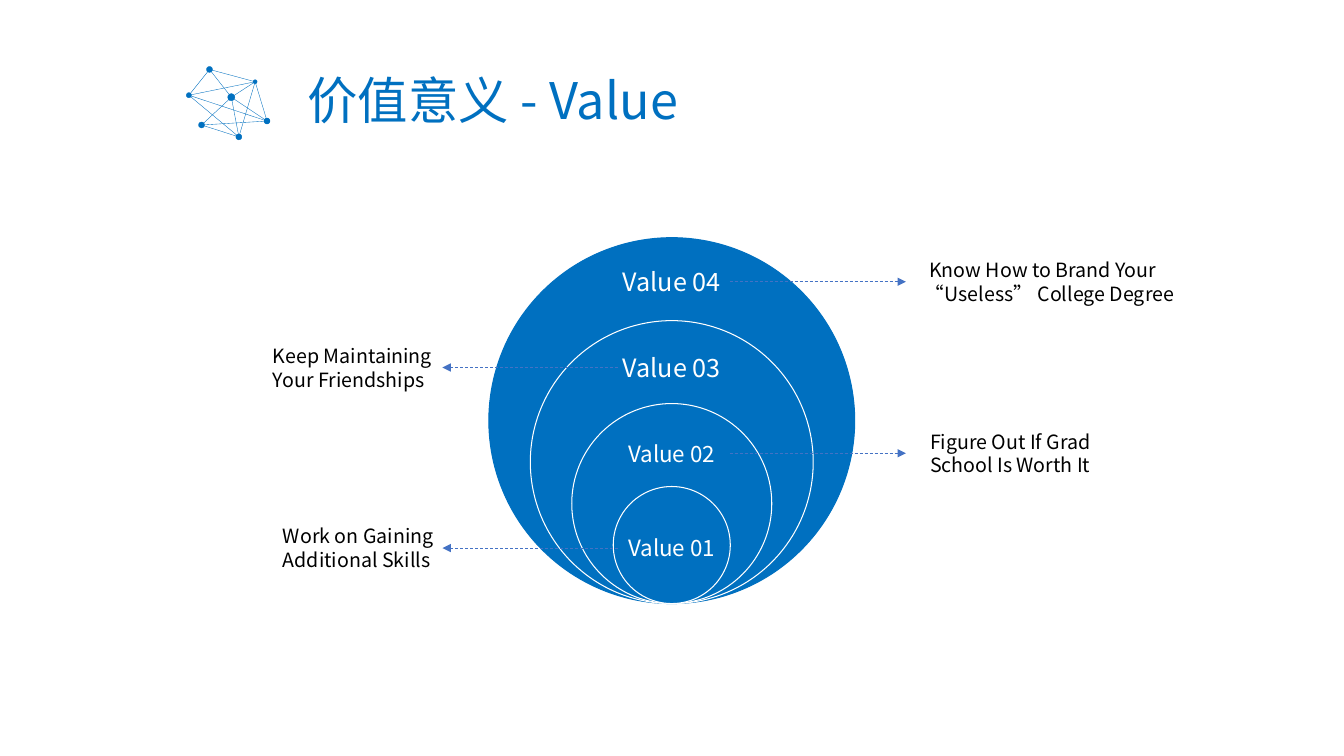
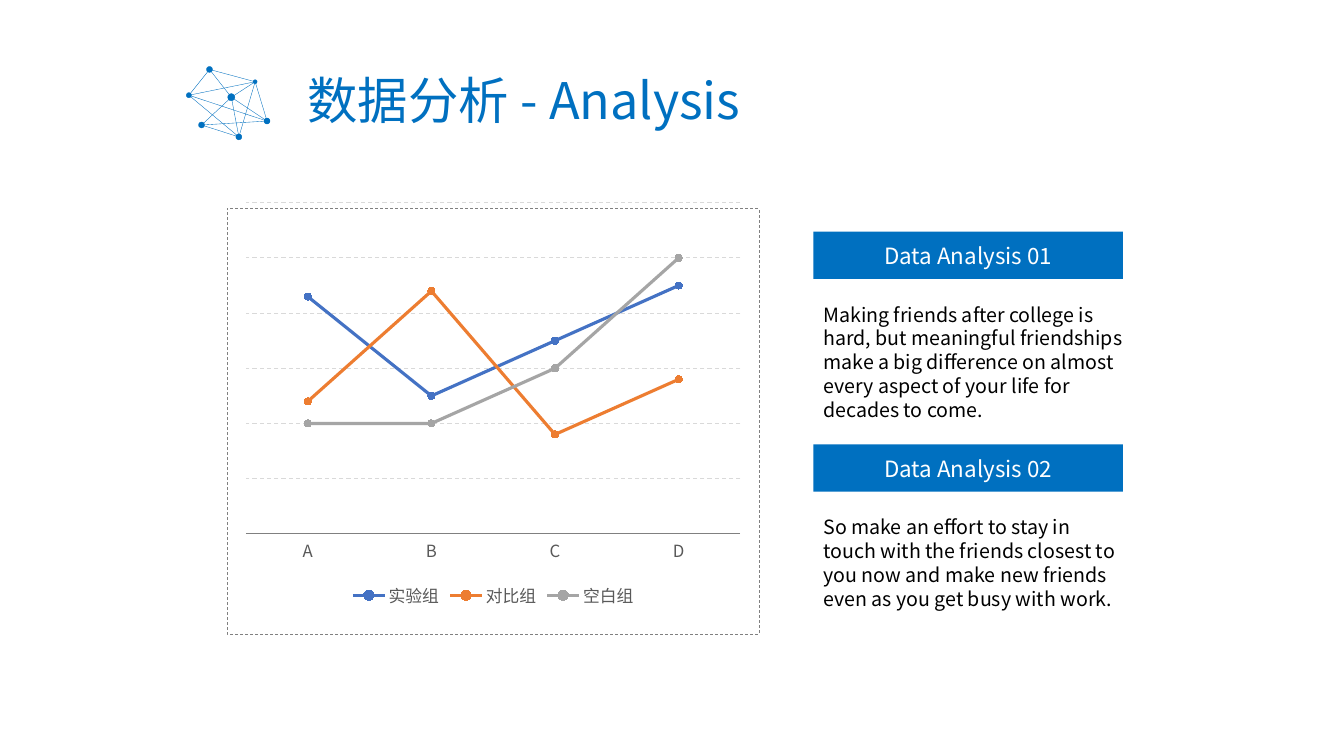
"""Build a value slide and an analysis slide that share one style."""
import pptx
import pptx.chart.data
import pptx.dml.color
import pptx.enum.chart
import pptx.enum.dml
import pptx.enum.shapes
import pptx.enum.text
import pptx.oxml
import pptx.oxml.ns
import pptx.util

Cm = pptx.util.Cm
Pt = pptx.util.Pt
SHAPE = pptx.enum.shapes.MSO_SHAPE
DASH = pptx.enum.dml.MSO_LINE.DASH
ALIGN = pptx.enum.text.PP_ALIGN
ANCHOR = pptx.enum.text.MSO_ANCHOR

FONT = "Noto Sans CJK SC"
COLORS = {
    "main": "0070C0",
    "white": "FFFFFF",
    "black": "000000",
    "arrow": "4472C4",
    "frame": "808080",
    "grid": "D9D9D9",
    "label": "595959",
}
SERIES_COLORS = ["4472C4", "ED7D31", "A5A5A5"]

NODES = {
    "top": (5.28, 1.75, 0.15),
    "hub": (5.83, 2.45, 0.18),
    "upper": (6.43, 2.06, 0.1),
    "low": (5.08, 3.15, 0.15),
    "left": (4.76, 2.4, 0.13),
    "bottom": (6.02, 3.45, 0.15),
    "right": (6.73, 3.05, 0.15),
}
LINKS = [
    ("top", "left"), ("top", "upper"), ("top", "hub"), ("left", "bottom"),
    ("right", "left"), ("upper", "left"), ("bottom", "upper"),
    ("hub", "bottom"), ("hub", "right"), ("upper", "hub"),
    ("upper", "right"), ("hub", "low"), ("low", "bottom"), ("right", "low"),
]


def rgb(name):
    return pptx.dml.color.RGBColor.from_string(COLORS.get(name, name))


def set_font(font, size, color):
    font.name = FONT
    font.size = Pt(size)
    font.color.rgb = rgb(color)


def set_line(line, color, width, dash=None):
    line.color.rgb = rgb(color)
    line.width = Pt(width)
    if dash:
        line.dash_style = dash


def write(box, text, size=14, color="black", align=ALIGN.LEFT,
          anchor=ANCHOR.TOP, spacing=None):
    frame = box.text_frame
    frame.word_wrap = True
    frame.vertical_anchor = anchor
    para = frame.paragraphs[0]
    para.alignment = align
    if spacing:
        para.line_spacing = spacing
    span = para.add_run()
    span.text = text
    set_font(span.font, size, color)
    east_asian = pptx.oxml.parse_xml(
        f'<a:ea {pptx.oxml.ns.nsdecls("a")} typeface="{FONT}"/>')
    span.font._element.append(east_asian)


class Deck:
    def __init__(self):
        self.deck = pptx.Presentation()
        self.deck.slide_width = Cm(33.87)
        self.deck.slide_height = Cm(19.05)
        self.page = None

    def start(self, title):
        self.page = self.deck.slides.add_slide(self.deck.slide_layouts[6])
        self.network()
        self.text(title, 7.5, 1.5, 20.14, 2.18, size=36, color="main",
                  anchor=ANCHOR.MIDDLE, spacing=0.9)

    def network(self):
        for first, second in LINKS:
            self.line(NODES[first][:2], NODES[second][:2], "main", 0.25)
        for x, y, size in NODES.values():
            self.shape(SHAPE.OVAL, x - size / 2, y - size / 2, size, size,
                       fill="main", line=("main", 0.25))

    def shape(self, kind, left, top, width, height, fill=None, line=None):
        box = self.page.shapes.add_shape(
            kind, Cm(left), Cm(top), Cm(width), Cm(height))
        box.shadow.inherit = False
        if fill:
            box.fill.solid()
            box.fill.fore_color.rgb = rgb(fill)
        else:
            box.fill.background()
        if line:
            set_line(box.line, *line)
        else:
            box.line.fill.background()
        return box

    def label(self, kind, text, left, top, width, height, size, fill=None):
        box = self.shape(kind, left, top, width, height, fill=fill)
        write(box, text, size=size, color="white", align=ALIGN.CENTER,
              anchor=ANCHOR.MIDDLE)

    def text(self, text, left, top, width, height, **style):
        box = self.page.shapes.add_textbox(
            Cm(left), Cm(top), Cm(width), Cm(height))
        write(box, text, **style)

    def line(self, start, end, color, width, dash=None, arrow=False):
        connector = self.page.shapes.add_connector(
            pptx.enum.shapes.MSO_CONNECTOR.STRAIGHT,
            Cm(start[0]), Cm(start[1]), Cm(end[0]), Cm(end[1]))
        set_line(connector.line, color, width, dash)
        namespace = pptx.oxml.ns.nsdecls("a")
        if arrow:
            connector.line._get_or_add_ln().append(pptx.oxml.parse_xml(
                f'<a:tailEnd {namespace} type="triangle"/>'))
        connector._element.spPr.append(
            pptx.oxml.parse_xml(f"<a:effectLst {namespace}/>"))

    def line_chart(self, left, top, width, height, categories, series):
        data = pptx.chart.data.CategoryChartData()
        data.categories = categories
        for name, values in series.items():
            data.add_series(name, values)
        chart = self.page.shapes.add_chart(
            pptx.enum.chart.XL_CHART_TYPE.LINE_MARKERS,
            Cm(left), Cm(top), Cm(width), Cm(height), data).chart
        set_font(chart.font, 10, "black")
        chart.has_title = False
        chart.has_legend = True
        chart.legend.position = pptx.enum.chart.XL_LEGEND_POSITION.BOTTOM
        chart.legend.include_in_layout = False
        set_font(chart.legend.font, 12, "label")
        chart.plots[0].vary_by_categories = False

        category_axis = chart.category_axis
        category_axis.major_tick_mark = pptx.enum.chart.XL_TICK_MARK.NONE
        set_font(category_axis.tick_labels.font, 12, "label")
        set_line(category_axis.format.line, "frame", 0.75)

        value_axis = chart.value_axis
        value_axis.visible = False
        value_axis.minimum_scale = 0
        value_axis.maximum_scale = 120
        value_axis.major_unit = 20
        value_axis.has_major_gridlines = True
        set_line(value_axis.major_gridlines.format.line, "grid", 0.75, DASH)

        for item, color in zip(chart.plots[0].series, SERIES_COLORS):
            item.smooth = False
            set_line(item.format.line, color, 2.25)
            item.marker.style = pptx.enum.chart.XL_MARKER_STYLE.CIRCLE
            item.marker.size = 5
            item.marker.format.fill.solid()
            item.marker.format.fill.fore_color.rgb = rgb(color)
            set_line(item.marker.format.line, color, 0.75)


def value_slide(deck):
    deck.start("价值意义 - Value")
    center, bottom = 16.93, 15.21
    label_width, label_height = 4.09, 1.85
    rings = [
        ("Value 04", 18, 7.1, " Know How to Brand Your “Useless” College Degree",
         23.06, 6.99),
        ("Value 03", 18, 9.26, "Keep Maintaining Your Friendships", 6.63, 4.93),
        ("Value 02", 16, 11.42, "Figure Out If Grad School Is Worth It",
         23.19, 5.31),
        ("Value 01", 16, 13.81, "Work on Gaining Additional Skills", 6.88, 5.41),
    ]
    for index, (name, size, middle, *_) in enumerate(rings):
        diameter = 9.22 - 2.09 * index
        deck.shape(SHAPE.OVAL, center - diameter / 2, bottom - diameter,
                   diameter, diameter, fill="main",
                   line=("white" if index else "main", 0.75))
        deck.label(SHAPE.ROUNDED_RECTANGLE, name, center - label_width / 2,
                   middle - label_height / 2, label_width, label_height, size)
    for index, (_, _, middle, note, left, width) in enumerate(rings):
        start, end = (15.57, 11.15) if index % 2 else (18.39, 22.83)
        deck.line((start, middle), (end, middle), "arrow", 0.5, DASH, arrow=True)
        deck.text(note, left, middle - 0.73, width, 1.45, spacing=Pt(17))


def analysis_slide(deck):
    deck.start("数据分析 - Analysis")
    deck.line_chart(5.94, 4.9, 12.98, 10.52, ["A", "B", "C", "D"], {
        "实验组": [86, 50, 70, 90],
        "对比组": [48, 88, 36, 56],
        "空白组": [40, 40, 60, 100],
    })
    deck.shape(SHAPE.RECTANGLE, 5.72, 5.26, 13.41, 10.72,
               line=("frame", 0.5, DASH))
    findings = [
        ("Data Analysis 01", 8.36,
         "Making friends after college is hard, but meaningful friendships "
         "make a big difference on almost every aspect of your life for "
         "decades to come."),
        ("Data Analysis 02", 8,
         "So make an effort to stay in touch with the friends closest to you "
         "now and make new friends even as you get busy with work."),
    ]
    for index, (heading, width, body) in enumerate(findings):
        top = 5.84 + 5.36 * index
        deck.label(SHAPE.RECTANGLE, heading, 20.5, top, 7.8, 1.19, 16,
                   fill="main")
        deck.text(body, 20.5, top + 1.65, width, 2.64, spacing=Pt(17))


def main():
    deck = Deck()
    value_slide(deck)
    analysis_slide(deck)
    deck.deck.save("out.pptx")


if __name__ == "__main__":
    main()
